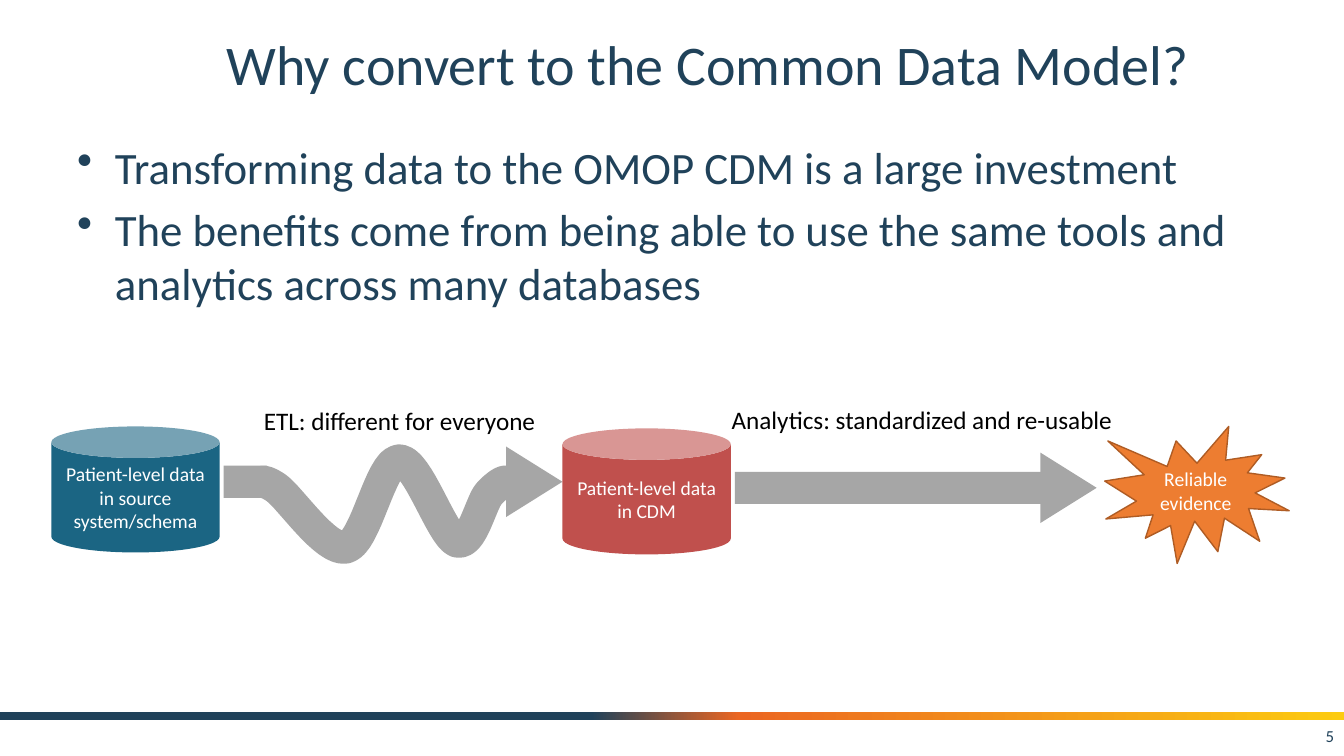
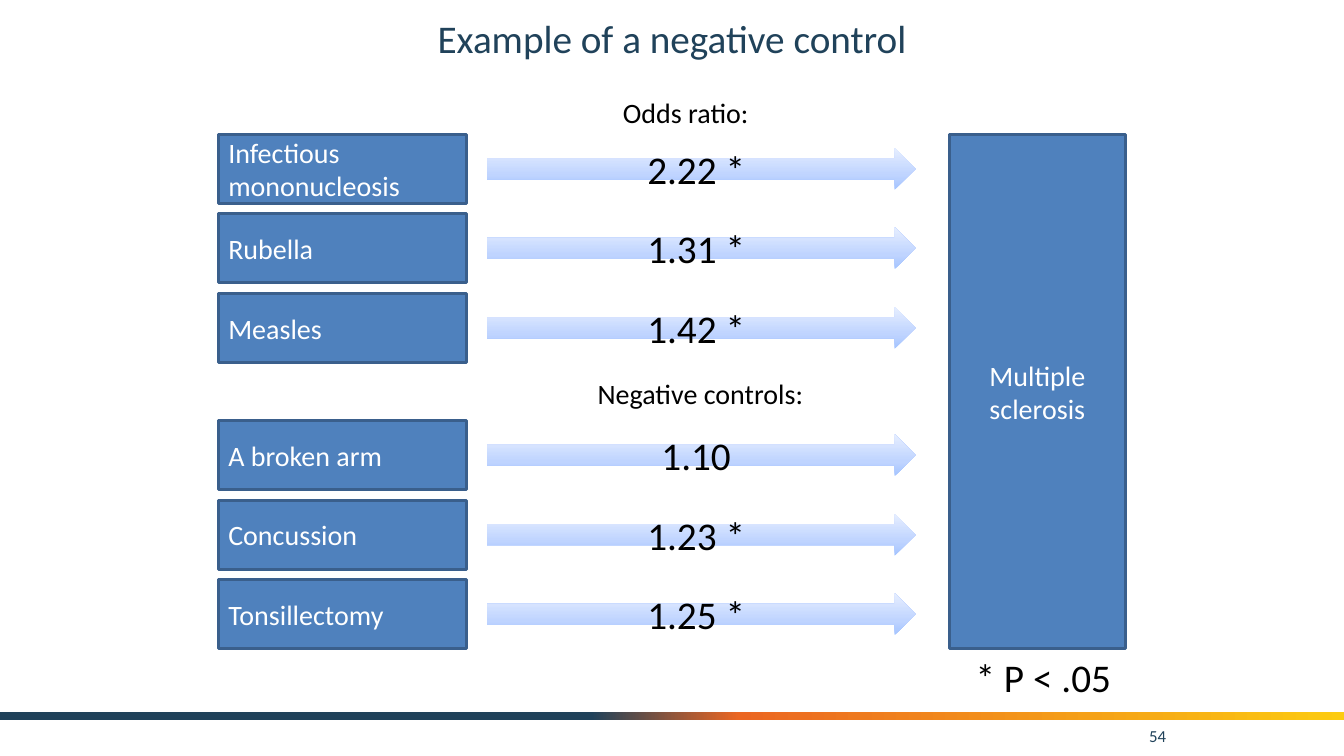
"""Build two slides on a common data model and on negative controls."""
import pptx
import pptx.util
import pptx.dml.color
import pptx.enum.shapes
import pptx.enum.text
import pptx.oxml
import pptx.oxml.ns

Pt = pptx.util.Pt
KIND = pptx.enum.shapes.MSO_SHAPE
ALIGN = pptx.enum.text.PP_ALIGN
ANCHOR = pptx.enum.text.MSO_ANCHOR
FIT = pptx.enum.text.MSO_AUTO_SIZE

FONT = "Calibri"
COLORS = {
    "navy": "20425A",
    "orange": "EB6622",
    "gold": "FCCB10",
    "teal": "1B6583",
    "red": "C0504D",
    "seal": "ED7D31",
    "rust": "AF5C24",
    "gray": "A6A6A6",
    "blue": "4F81BD",
    "edge": "3A5F8C",
    "sky": "A4C4FF",
    "pale": "BFD4FF",
    "mist": "E6EEFF",
    "white": "FFFFFF",
    "black": "000000",
}
BAND = [(44, "navy"), (55, "orange"), (100, "gold")]
SHADE = [(0, "sky"), (35, "pale"), (100, "mist")]


def tint(name):
    return pptx.dml.color.RGBColor.from_string(COLORS[name])


def bend(start, curves, steps=16):
    points = [start]
    for a, b, end in curves:
        first = points[-1]
        for i in range(1, steps + 1):
            t = i / steps
            u = 1 - t
            points.append(tuple(
                u**3 * p + 3 * u * u * t * q + 3 * u * t * t * r + t**3 * s
                for p, q, r, s in zip(first, a, b, end)))
    return points


class Deck:
    def __init__(self):
        self.file = pptx.Presentation()
        self.file.slide_width = Pt(960)
        self.file.slide_height = Pt(540)
        self.slide = None

    def start(self, title, box, size, page, right):
        self.slide = self.file.slides.add_slide(self.file.slide_layouts[5])
        self.shape(KIND.RECTANGLE, (0, 508.5, 960, 5.8), BAND)
        head = self.slide.shapes.title
        head.left, head.top, head.width, head.height = map(Pt, box)
        self.letter(head, title, size, "navy", ALIGN.CENTER)
        self.label(page, (right - 168, 511.2, 168, 28.8), 12, "navy",
                   ALIGN.RIGHT, ANCHOR.MIDDLE)

    def letter(self, shape, text, size, color, align, anchor=ANCHOR.MIDDLE):
        frame = shape.text_frame
        frame.text = text
        frame.word_wrap = True
        frame.auto_size = FIT.NONE
        frame.vertical_anchor = anchor
        for para in frame.paragraphs:
            para.alignment = align
            for run in para.runs:
                run.font.name = FONT
                run.font.size = Pt(size)
                run.font.color.rgb = tint(color)

    def label(self, text, box, size, color="black", align=ALIGN.LEFT,
              anchor=ANCHOR.TOP):
        shape = self.slide.shapes.add_textbox(*map(Pt, box))
        self.letter(shape, text, size, color, align, anchor)
        return shape

    def caption(self, text, box, size):
        frame = self.label(text, box, size).text_frame
        frame.word_wrap = False
        frame.auto_size = FIT.SHAPE_TO_FIT_TEXT

    def bullets(self, items, box, size):
        shape = self.label("\n".join(items), box, size, "navy")
        for i, para in enumerate(shape.text_frame.paragraphs):
            props = para._p.get_or_add_pPr()
            props.set("marL", str(Pt(27)))
            props.set("indent", str(-Pt(27)))
            mark = pptx.oxml.parse_xml(
                '<a:buChar %s char="•"/>' % pptx.oxml.ns.nsdecls("a"))
            props.append(mark)
            if i:
                para.space_before = Pt(size * 0.2)

    def shape(self, kind, box, fill, edge=None, width=1, turn=0):
        shape = self.slide.shapes.add_shape(kind, *map(Pt, box))
        shape.shadow.inherit = False
        shape.rotation = turn
        if isinstance(fill, str):
            shape.fill.solid()
            shape.fill.fore_color.rgb = tint(fill)
        else:
            self.blend(shape.fill, fill)
        if edge:
            shape.line.color.rgb = tint(edge)
            shape.line.width = Pt(width)
        else:
            shape.line.fill.background()
        return shape

    def blend(self, fill, stops):
        fill.gradient()
        fill.gradient_angle = 90 if stops is SHADE else 0
        group = fill.gradient_stops[0]._gs.getparent()
        for old in list(group):
            group.remove(old)
        for place, name in stops:
            group.append(pptx.oxml.parse_xml(
                '<a:gs %s pos="%d"><a:srgbClr val="%s"/></a:gs>'
                % (pptx.oxml.ns.nsdecls("a"), place * 1000, COLORS[name])))

    def block(self, kind, box, fill, text, size, color="white",
              align=ALIGN.CENTER, edge=None, width=1):
        shape = self.shape(kind, box, fill, edge, width)
        self.letter(shape, text, size, color, align)

    def curve(self, points, color, width):
        spots = [(Pt(x), Pt(y)) for x, y in points]
        pen = self.slide.shapes.build_freeform(*spots[0])
        pen.add_line_segments(spots[1:], close=False)
        shape = pen.convert_to_shape()
        shape.shadow.inherit = False
        shape.fill.background()
        shape.line.color.rgb = tint(color)
        shape.line.width = Pt(width)

    def arrow(self, shaft, head):
        self.shape(KIND.RECTANGLE, shaft, "gray")
        self.shape(KIND.ISOSCELES_TRIANGLE, head, "gray", turn=90)


def model(deck):
    deck.start("Why convert to the Common Data Model?",
               (98.6, 12.2, 813.6, 66.2), 40, "5", 960)
    deck.bullets([
        "Transforming data to the OMOP CDM is a large investment",
        "The benefits come from being able to use the same tools and "
        "analytics across many databases",
    ], (48, 96, 864, 226), 32)
    deck.block(KIND.CAN, (36.7, 304.6, 120.2, 90), "teal",
               "Patient-level data in source system/schema", 14)
    deck.block(KIND.EXPLOSION1, (789.1, 304.6, 131.8, 97.9), "seal",
               "Reliable evidence", 14, edge="rust")
    deck.curve(bend((184.3, 348.5), [
        ((185.8, 344.9), (186.5, 341.3), (197.3, 348.5)),
        ((207.4, 355.7), (232.6, 393.8), (247, 391)),
        ((261.4, 388.1), (271.4, 329.8), (285.1, 329)),
        ((298.1, 328.3), (315.4, 382.3), (326.2, 386.6)),
        ((337, 390.2), (343.4, 359.3), (349.2, 352.8)),
        ((355.7, 345.6), (362.9, 341.3), (362.9, 346.3)),
    ]), "gray", 23.25)
    deck.arrow((159.8, 332.6, 31, 23), (356.4, 324, 50.4, 40.3))
    deck.block(KIND.CAN, (401.8, 306, 120.2, 90), "red",
               "Patient-level data in CDM", 14)
    deck.arrow((524.9, 337, 226, 23), (738, 328.3, 50.4, 40.3))
    deck.caption("ETL: different for everyone", (181.4, 285.8, 211, 28.8), 18)
    deck.caption("Analytics: standardized and re-usable",
                 (515.5, 285.1, 289.4, 28.8), 18)


def control(deck):
    deck.start("Example of a negative control", (156, 0, 648, 54.7), 28,
               "54", 840)
    groups = [
        (96, [("Infectious\nmononucleosis", "2.22 *"),
              ("Rubella", "1.31 *"), ("Measles", "1.42 *")]),
        (300.6, [("A broken arm", "1.10"),
                 ("Concussion", "1.23 *"), ("Tonsillectomy", "1.25 *")]),
    ]
    for top, rows in groups:
        for i, (cause, ratio) in enumerate(rows):
            y = top + i * 56.8
            deck.block(KIND.RECTANGLE, (156, y, 177, 49.2), "blue", cause, 20,
                       align=ALIGN.LEFT, edge="edge", width=2)
            deck.block(KIND.RIGHT_ARROW, (348, y + 9.6, 306, 30), SHADE,
                       ratio, 28, "black")
    deck.block(KIND.RECTANGLE, (678, 96, 126, 367.4), "blue",
               "Multiple sclerosis", 20, edge="edge", width=2)
    deck.caption("Odds ratio:", (437.8, 64.8, 105.1, 31.5), 20)
    deck.caption("Negative controls:", (419.8, 265.7, 162.7, 31.5), 20)
    deck.caption("* P < .05", (689.8, 463, 113, 41.2), 28)


def main():
    deck = Deck()
    model(deck)
    control(deck)
    deck.file.save("out.pptx")


if __name__ == "__main__":
    main()
